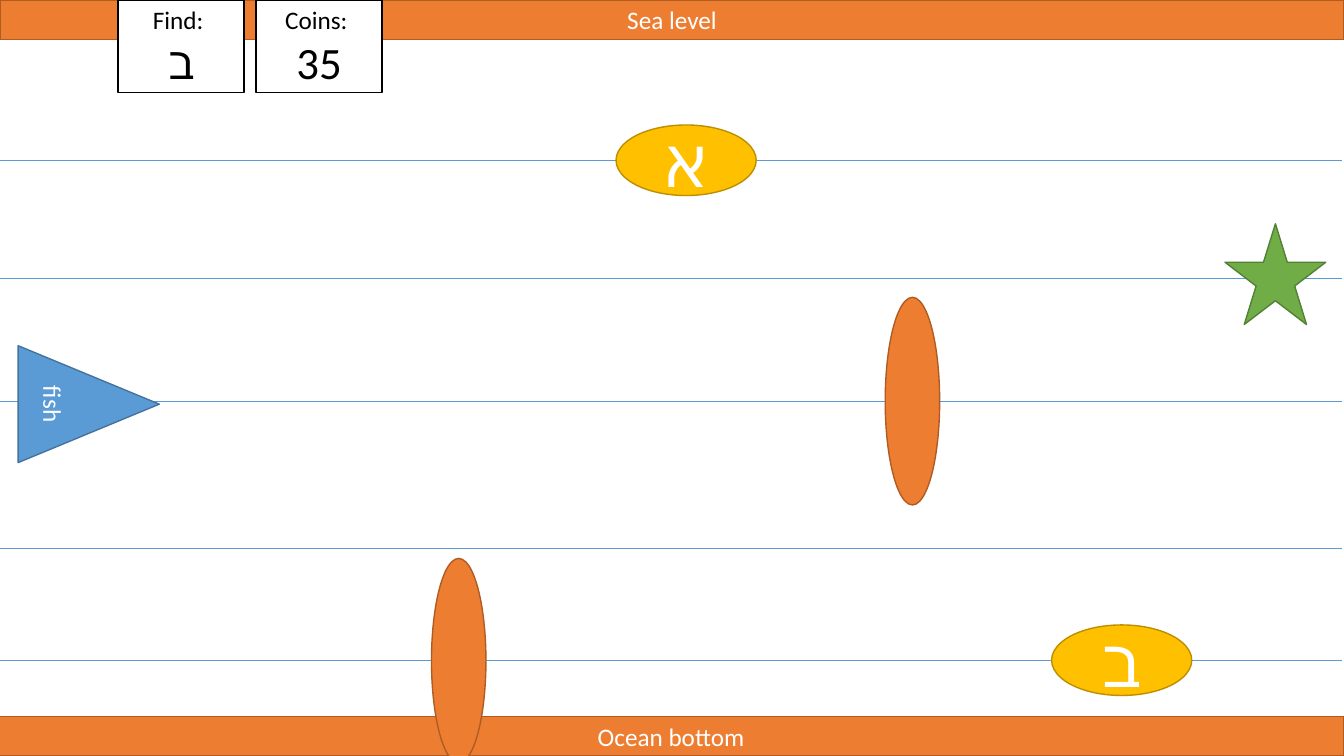
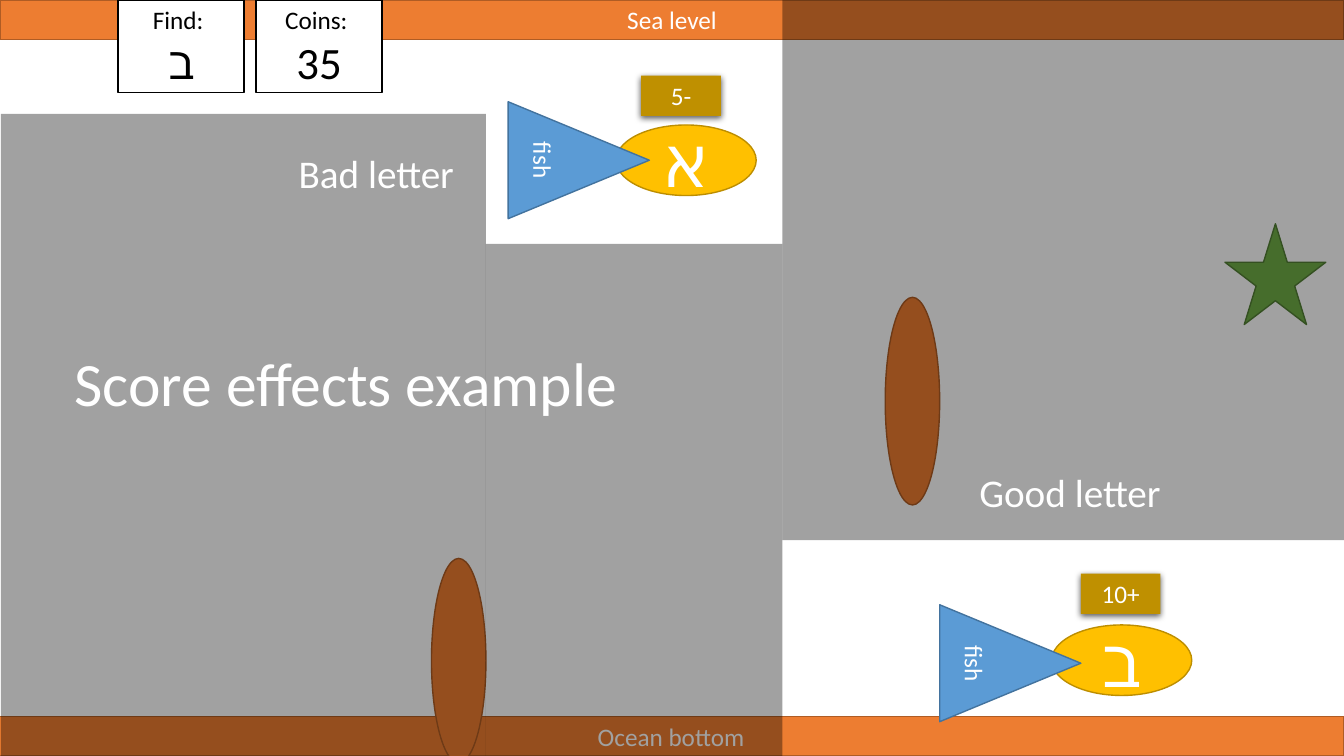
from lxml.etree import SubElement
from pptx import Presentation
from pptx.dml.color import RGBColor
from pptx.enum.shapes import MSO_CONNECTOR, MSO_SHAPE as SHAPE
from pptx.enum.text import MSO_ANCHOR, MSO_AUTO_SIZE, PP_ALIGN as ALIGN
from pptx.oxml.ns import qn
from pptx.util import Inches, Pt

FONT = "Calibri"
WHITE = RGBColor(0xFF, 0xFF, 0xFF)
BLACK = RGBColor(0x00, 0x00, 0x00)
BLUE = RGBColor(0x5B, 0x9B, 0xD5)
BLUE_EDGE = RGBColor(0x43, 0x73, 0x9E)
ORANGE = RGBColor(0xED, 0x7D, 0x31)
ORANGE_EDGE = RGBColor(0xAF, 0x5C, 0x24)
GOLD = RGBColor(0xFF, 0xC0, 0x00)
GOLD_EDGE = RGBColor(0xBD, 0x8E, 0x00)
DARK_GOLD = RGBColor(0xBF, 0x90, 0x00)
GREEN = RGBColor(0x70, 0xAD, 0x47)
GREEN_EDGE = RGBColor(0x53, 0x80, 0x35)

WIDTH, HEIGHT = 13.33, 7.5
BAND_HEIGHT = 0.39
LANES = (1.59, 2.76, 3.98, 5.44, 6.55)


class Game:
    """Holds the presentation, the current slide and the drawing style."""

    def __init__(self):
        self.presentation = Presentation()
        self.presentation.slide_width = Inches(WIDTH)
        self.presentation.slide_height = Inches(HEIGHT)
        self.slide = None

    def new_slide(self):
        self.slide = self.presentation.slides.add_slide(
            self.presentation.slide_layouts[6])

    # Basic elements
    def set_text(self, text_frame, text, sizes, color=WHITE,
                 align=ALIGN.CENTER, rtl=False):
        """Fill a frame; sizes gives the text size of each paragraph."""
        text_frame.text = text
        for paragraph, size in zip(text_frame.paragraphs, sizes):
            paragraph.alignment = align
            if rtl:
                paragraph._p.get_or_add_pPr().set("rtl", "1")
            for run in paragraph.runs:
                run.font.name = FONT
                run.font.size = Pt(size)
                run.font.color.rgb = color

    def shape(self, kind, left, top, width, height, fill, edge=None):
        shape = self.slide.shapes.add_shape(
            kind, Inches(left), Inches(top), Inches(width), Inches(height))
        shape.shadow.inherit = False
        shape.fill.solid()
        shape.fill.fore_color.rgb = fill
        if edge is None:
            shape.line.fill.background()
        else:
            shape.line.color.rgb = edge
            shape.line.width = Pt(1)
        shape.text_frame.vertical_anchor = MSO_ANCHOR.MIDDLE
        return shape

    def label(self, left, top, width, height, text, size,
              align=ALIGN.LEFT, rtl=False):
        box = self.slide.shapes.add_textbox(
            Inches(left), Inches(top), Inches(width), Inches(height))
        box.text_frame.word_wrap = False
        box.text_frame.auto_size = MSO_AUTO_SIZE.SHAPE_TO_FIT_TEXT
        self.set_text(box.text_frame, text, [size], align=align, rtl=rtl)

    # Parts of the game
    def lane(self, y):
        line = self.slide.shapes.add_connector(
            MSO_CONNECTOR.STRAIGHT,
            Inches(13.31), Inches(y), Inches(-0.02), Inches(y))
        line.line.color.rgb = BLUE
        line.line.width = Pt(0.5)
        SubElement(line._element.spPr, qn("a:effectLst"))

    def band(self, left, top, text):
        band = self.shape(SHAPE.RECTANGLE, left, top, WIDTH - left,
                          BAND_HEIGHT, ORANGE, ORANGE_EDGE)
        self.set_text(band.text_frame, text, [18], rtl=True)

    def counter(self, left, title, value):
        box = self.shape(SHAPE.RECTANGLE, left, 0, 1.25, 0.92, WHITE, BLACK)
        self.set_text(box.text_frame, f"{title}\n{value}", [18, 32], BLACK)

    def letter(self, left, top, text):
        coin = self.shape(SHAPE.OVAL, left, top, 1.39, 0.7, GOLD, GOLD_EDGE)
        self.set_text(coin.text_frame, text, [48], rtl=True)

    def rock(self, left, top, height):
        self.shape(SHAPE.OVAL, left, top, 0.54, height, ORANGE, ORANGE_EDGE)

    def fish(self, left, top):
        fish = self.shape(SHAPE.ISOSCELES_TRIANGLE, left, top, 1.16, 1.4,
                          BLUE, BLUE_EDGE)
        fish.rotation = 90
        self.set_text(fish.text_frame, "fish", [18], rtl=True)

    def score(self, left, top, text):
        badge = self.shape(SHAPE.RECTANGLE, left, top, 0.79, 0.4, DARK_GOLD)
        badge.text_frame.auto_size = MSO_AUTO_SIZE.SHAPE_TO_FIT_TEXT
        self.set_text(badge.text_frame, text, [18])
        effects = badge._element.spPr.find(qn("a:effectLst"))
        shadow = SubElement(
            effects, qn("a:outerShdw"), blurRad=str(Pt(4.5)),
            dist=str(Pt(1.5)), dir="5400000", algn="ctr", rotWithShape="0")
        color = SubElement(shadow, qn("a:srgbClr"), val="000000")
        SubElement(color, qn("a:alpha"), val="63000")

    def shade(self, left, top, width, height):
        shade = self.shape(SHAPE.RECTANGLE, left, top, width, height, BLACK)
        color = shade._element.spPr.find(qn("a:solidFill"))[0]
        SubElement(color, qn("a:alpha"), val="37000")

    def scene(self):
        """Everything that stays in place from slide to slide."""
        self.band(-0.02, HEIGHT - BAND_HEIGHT, "Ocean bottom")
        self.band(0, 0, "Sea level")
        self.rock(8.78, 2.95, 2.06)
        self.rock(4.28, 5.54, 2.03)
        self.letter(6.11, 1.24, "א")
        self.letter(10.43, 6.2, "ב")
        self.shape(SHAPE.STAR_5_POINT, 12.15, 2.22, 1, 1, GREEN, GREEN_EDGE)
        self.counter(1.17, "Find: ", "ב")
        self.counter(2.54, "Coins: ", "35")


def main():
    game = Game()

    # Slide 1: playing field
    game.new_slide()
    for y in LANES:
        game.lane(y)
    game.fish(0.3, 3.31)
    game.scene()

    # Slide 2: score effects
    game.new_slide()
    game.scene()
    game.score(10.72, 5.69, "10+")
    game.fish(9.44, 5.88)
    game.score(6.36, 0.75, "5-")
    game.fish(5.16, 0.89)

    # Shading around the two highlighted letters
    game.shade(0.01, 1.13, 4.81, 6.37)
    game.shade(7.76, 0, 5.57, 5.36)
    game.shade(4.82, 2.42, 2.94, 5.08)

    # Captions
    game.label(0.64, 3.37, 5.65, 0.84, "Score effects example", 44)
    game.label(9.58, 4.6, 2.03, 0.57, "Good letter", 28, ALIGN.RIGHT, True)
    game.label(2.83, 1.43, 1.77, 0.57, "Bad letter", 28, ALIGN.RIGHT, True)

    game.presentation.save("out.pptx")


if __name__ == "__main__":
    main()
